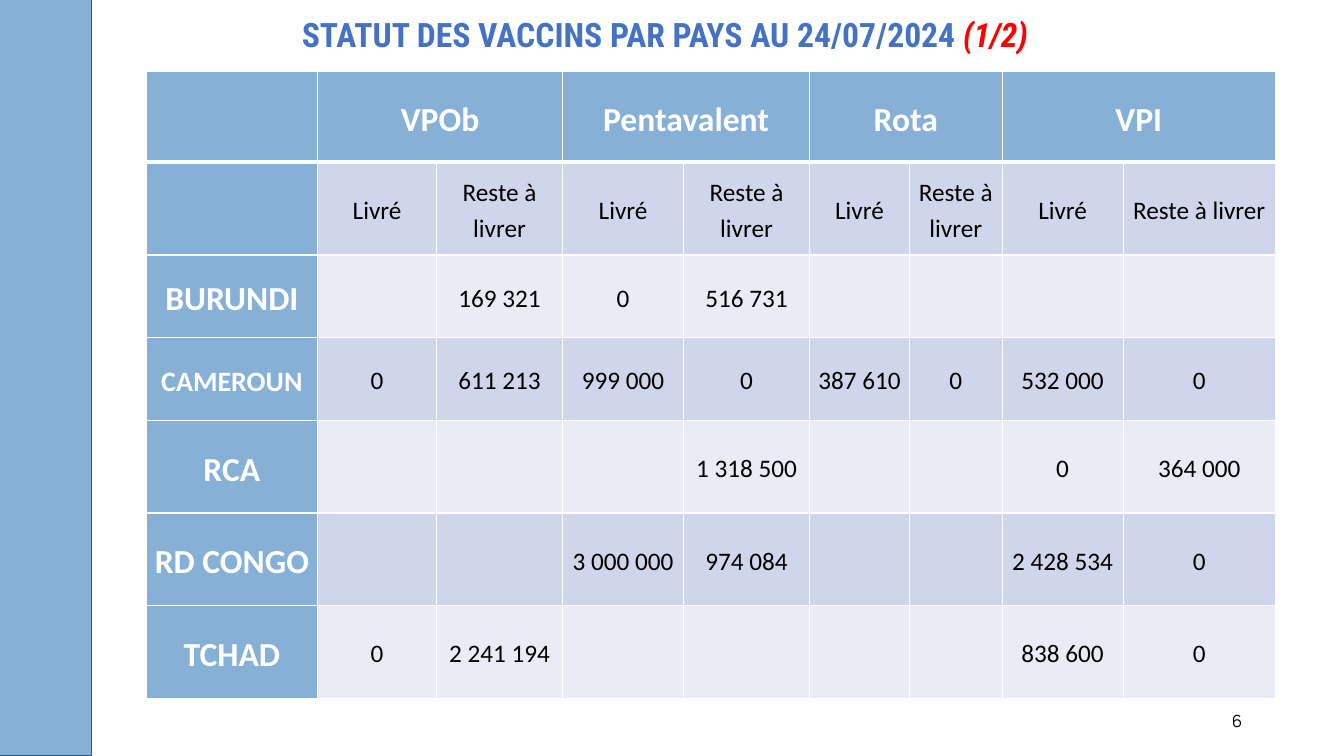
from dataclasses import dataclass

from lxml import etree
from pptx import Presentation, util as u
from pptx.dml.color import RGBColor
from pptx.enum import shapes, text
from pptx.oxml import ns

PX = 9144


@dataclass(frozen=True)
class Theme:
    blue: str = "86B0D6"
    edge: str = "325491"
    title: str = "4472C4"
    accent: str = "FF0000"
    white: str = "FFFFFF"
    black: str = "000000"
    bands: tuple = ("E9EBF5", "CFD5EA")
    body_font: str = "Calibri"
    title_font: str = "Roboto Condensed"
    number_font: str = "Manrope"
    heading_size: int = 24
    long_name_size: int = 20
    body_size: int = 18
    number_size: int = 12


THEME = Theme()
VACCINES = ["VPOb", "Pentavalent", "Rota", "VPI"]
COLUMN_WIDTHS = [170, 118, 125, 120, 125, 99, 92, 120, 151]
ROW_HEIGHTS = [90, 92, 82, 82, 92, 92, 92]
DELIVERIES = [
    ["BURUNDI", "", "169 321", "0", "516 731", "", "", "", ""],
    ["CAMEROUN", "0", "611 213", "999 000", "0", "387 610", "0", "532 000", "0"],
    ["RCA", "", "", "", "1 318 500", "", "", "0", "364 000"],
    ["RD CONGO", "", "", "3 000 000", "974 084", "", "", "2 428 534", "0"],
    ["TCHAD", "0", "2 241 194", "", "", "", "", "838 600", "0"],
]


def px(*lengths):
    return [u.Emu(length * PX) for length in lengths]


def style_font(font, face, size, color, bold=False):
    font.name, font.size, font.bold = face, u.Pt(size), bold
    font.color.rgb = RGBColor.from_string(color)


def add_side_band(slide):
    band = slide.shapes.add_shape(shapes.MSO_SHAPE.RECTANGLE, *px(-5, -2, 96, 752))
    band.shadow.inherit = False
    band.fill.solid()
    band.fill.fore_color.rgb = RGBColor.from_string(THEME.blue)
    band.line.color.rgb = RGBColor.from_string(THEME.edge)
    band.line.width = u.Pt(1)


def add_line_of_text(slide, box, align):
    frame = slide.shapes.add_textbox(*px(*box)).text_frame
    frame.word_wrap = True
    frame.vertical_anchor = text.MSO_ANCHOR.MIDDLE
    line = frame.paragraphs[0]
    line.alignment = align
    return line


def add_title(slide, heading, part):
    title = add_line_of_text(slide, (92, -1, 1135, 74), text.PP_ALIGN.CENTER)
    title.line_spacing = 0.9
    style_font(title.font, THEME.title_font, THEME.heading_size, THEME.title, True)
    title.add_run().text = heading
    part_run = title.add_run()
    part_run.text = part
    part_run.font.italic = True
    part_run.font.color.rgb = RGBColor.from_string(THEME.accent)


def add_page_number(slide, number):
    page = add_line_of_text(slide, (942, 695, 300, 40), text.PP_ALIGN.RIGHT)
    page.text = number
    style_font(page.font, THEME.number_font, THEME.number_size, THEME.black)


def set_borders(cell, row):
    properties = cell._tc.get_or_add_tcPr()
    heavy_side = {0: "lnB", 1: "lnT"}.get(row)
    for side in ("lnL", "lnR", "lnT", "lnB"):
        width = u.Pt(3 if side == heavy_side else 1)
        border = etree.SubElement(properties, ns.qn(f"a:{side}"), w=str(width))
        fill = etree.SubElement(border, ns.qn("a:solidFill"))
        etree.SubElement(fill, ns.qn("a:srgbClr"), val=THEME.white)


def fill_cell(cell, row, column, content):
    heading = row == 0 or column == 0
    set_borders(cell, row)
    cell.fill.solid()
    cell.fill.fore_color.rgb = RGBColor.from_string(
        THEME.blue if heading else THEME.bands[row % 2])
    cell.vertical_anchor = text.MSO_ANCHOR.MIDDLE
    cell.margin_left, cell.margin_right, cell.margin_top, cell.margin_bottom = px(7, 7, 0, 0)
    if not content:
        return
    entry = cell.text_frame.paragraphs[0]
    entry.text = content
    entry.alignment = text.PP_ALIGN.CENTER
    entry.line_spacing, entry.space_after = 1.15, u.Pt(8)
    if heading:
        size = THEME.long_name_size if content == "CAMEROUN" else THEME.heading_size
        style_font(entry.font, THEME.body_font, size, THEME.white, True)
    else:
        style_font(entry.font, THEME.body_font, THEME.body_size, THEME.black)


def add_delivery_table(slide):
    vaccine_row = [""] + [label for vaccine in VACCINES for label in (vaccine, "")]
    status_row = [""] + ["Livré", "Reste à livrer"] * len(VACCINES)
    rows = [vaccine_row, status_row] + DELIVERIES
    table = slide.shapes.add_table(
        len(rows), len(COLUMN_WIDTHS),
        *px(145, 71, sum(COLUMN_WIDTHS), sum(ROW_HEIGHTS))).table
    for column, width in zip(table.columns, px(*COLUMN_WIDTHS)):
        column.width = width
    for row, height in zip(table.rows, px(*ROW_HEIGHTS)):
        row.height = height
    for r, contents in enumerate(rows):
        for c, content in enumerate(contents):
            fill_cell(table.cell(r, c), r, c, content)
    for c in range(1, len(COLUMN_WIDTHS), 2):
        table.cell(0, c).merge(table.cell(0, c + 1))


def main():
    deck = Presentation()
    deck.slide_width, deck.slide_height = px(1333, 750)
    slide = deck.slides.add_slide(deck.slide_layouts[6])
    add_side_band(slide)
    add_title(slide, "STATUT DES VACCINS PAR PAYS AU 24/07/2024 ", "(1/2)")
    add_page_number(slide, "6")
    add_delivery_table(slide)
    deck.save("out.pptx")


if __name__ == "__main__":
    main()
